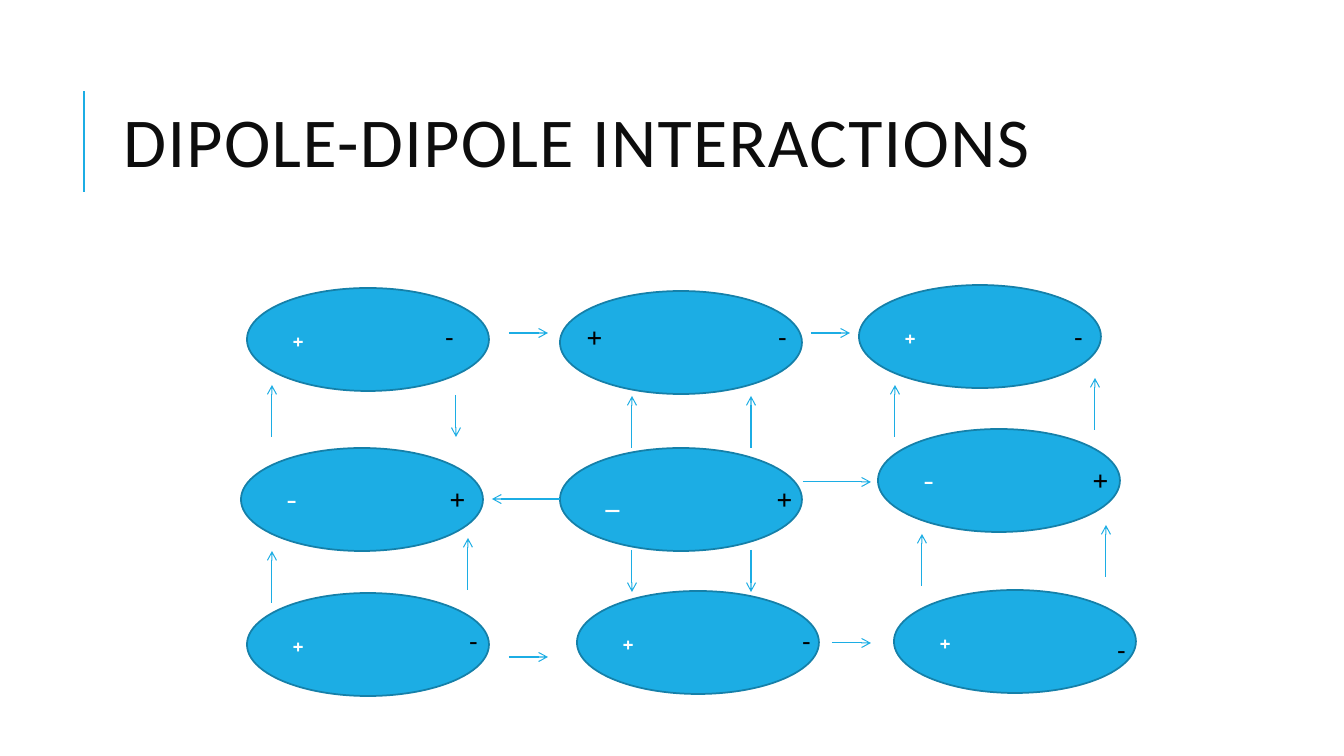
from lxml import etree
from pptx import Presentation, util as u
from pptx.dml.color import RGBColor
from pptx.enum import shapes, text
from pptx.oxml import ns

PX = 12192000 / 1344
MOLECULE = (242, 103)

# left, top, white sign inside the ellipse
MOLECULES = [
    (247, 288, "+"), (560, 291, ""), (859, 285, "+"),
    (241, 448, "-"), (560, 448, "_"), (878, 429, "-"),
    (247, 593, "+"), (577, 591, "+"), (894, 590, "+"),
]
# left, top, black sign
CHARGES = [
    (432, 316, "-"), (577, 316, "+"), (765, 316, "-"), (1061, 316, "-"),
    (440, 478, "+"), (767, 478, "+"), (1083, 459, "+"),
    (456, 620, "-"), (789, 620, "-"), (1104, 629, "-"),
]
# (dx, dy) of the arrow: its starting points
ARROWS = {
    (0, -52): [(272, 437), (632, 448), (751, 448), (895, 437), (1095, 430),
               (272, 603), (468, 590), (922, 586), (1106, 577)],
    (0, 42): [(456, 395), (632, 550), (751, 550)],
    (39, 0): [(509, 333), (811, 333), (509, 657), (832, 643)],
    (68, 0): [(803, 482)],
    (-68, 0): [(560, 499)],
}


def px(count):
    return u.Emu(round(count * PX))


def colour(value):
    return RGBColor.from_string(value)


class Painter:
    accent, edge = "1CADE4", "1580A9"
    ink, white, black = "0D0D0D", "FFFFFF", "000000"
    title_font, body_font, sign_font = "Calibri", "Cabin", "DejaVu Sans Mono"

    def __init__(self, page):
        self.page = page

    def add_words(self, frame, words, font, size, shade):
        para = frame.paragraphs[0]
        para.alignment = text.PP_ALIGN.LEFT
        span = para.add_run()
        span.text = words
        span.font.name = font
        span.font.size = u.Pt(size)
        span.font.color.rgb = colour(shade)
        return para, span

    def title(self, left, top, width, height, words):
        box = self.page.shapes.title
        box.left, box.top, box.width, box.height = map(px, (left, top, width, height))
        frame = box.text_frame
        frame.vertical_anchor = text.MSO_ANCHOR.MIDDLE
        para, span = self.add_words(frame, words, self.title_font, 50, self.ink)
        para.line_spacing = 0.8
        span.font._element.set("spc", "100")

    def molecule(self, left, top, sign):
        oval = self.page.shapes.add_shape(
            shapes.MSO_SHAPE.OVAL, *map(px, (left, top, *MOLECULE)))
        oval.shadow.inherit = False
        oval.fill.solid()
        oval.fill.fore_color.rgb = colour(self.accent)
        oval.line.color.rgb = colour(self.edge)
        oval.line.width = u.Pt(1.25)
        oval.text_frame.vertical_anchor = text.MSO_ANCHOR.MIDDLE
        if sign:
            self.add_words(oval.text_frame, sign, self.body_font, 18, self.white)

    def charge(self, left, top, sign):
        width = 40 if sign == "+" else 35
        box = self.page.shapes.add_textbox(*map(px, (left, top, width, 40)))
        box.text_frame.word_wrap = False
        box.text_frame.auto_size = text.MSO_AUTO_SIZE.SHAPE_TO_FIT_TEXT
        self.add_words(box.text_frame, sign, self.sign_font, 18, self.black)

    def line(self, x, y, dx, dy, width=0.75, arrow=True):
        link = self.page.shapes.add_connector(
            shapes.MSO_CONNECTOR.STRAIGHT, *map(px, (x, y, x + dx, y + dy)))
        link.line.color.rgb = colour(self.accent)
        link.line.width = u.Pt(width)
        if arrow:
            outline = link.line._get_or_add_ln()
            etree.SubElement(outline, ns.qn("a:tailEnd"), type="arrow")
        etree.SubElement(link._element.spPr, ns.qn("a:effectLst"))


def main():
    deck = Presentation()
    deck.slide_width, deck.slide_height = px(1344), px(756)
    painter = Painter(deck.slides.add_slide(deck.slide_layouts[5]))

    painter.line(84, 192, 0, -101, width=1.5, arrow=False)
    painter.title(113, 65, 1072, 165, "DIPOLE-DIPOLE INTERACTIONS")
    for molecule in MOLECULES:
        painter.molecule(*molecule)
    for charge in CHARGES:
        painter.charge(*charge)
    for direction, starts in ARROWS.items():
        for start in starts:
            painter.line(*start, *direction)

    deck.save("out.pptx")


if __name__ == "__main__":
    main()
